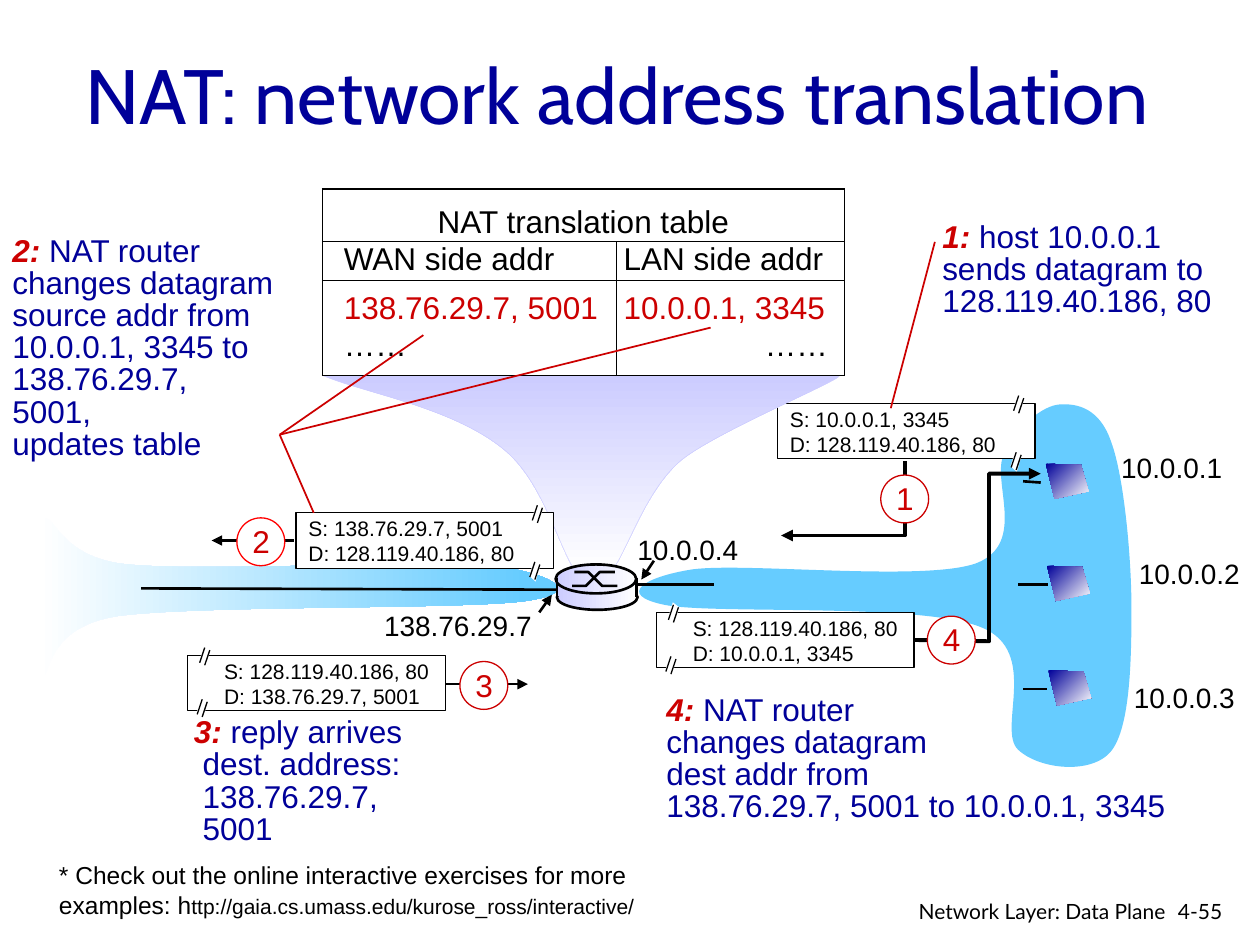
from lxml import etree
from pptx import Presentation
from pptx import util as u
from pptx.dml.color import RGBColor
from pptx.enum import shapes, text
from pptx.oxml.ns import qn

BLACK = RGBColor(0x00, 0x00, 0x00)
WHITE = RGBColor(0xFF, 0xFF, 0xFF)
NAVY = RGBColor(0x00, 0x00, 0x99)
RED = RGBColor(0xCC, 0x00, 0x00)
BRIGHT_RED = RGBColor(0xFF, 0x00, 0x00)
SKY = RGBColor(0x66, 0xCC, 0xFF)
LILAC = RGBColor(0xCC, 0xCC, 0xFF)

COLUMNS, ROWS = 100, 75  # square grid cells across and down the slide
CELL = u.Inches(0.1)


def grid(*values):
    return [round(value * CELL) for value in values]


# --- Styling ---
def paint(shape, fill=None, line=None, width=0.75, angle=0):
    """Fill is a colour, a (from, to) gradient pair or None."""
    shape.shadow.inherit = False
    if fill is None:
        shape.fill.background()
    elif isinstance(fill, RGBColor):
        shape.fill.solid()
        shape.fill.fore_color.rgb = fill
    else:
        shape.fill.gradient()
        shape.fill.gradient_angle = (360 - angle) % 360
        for stop, color in zip(shape.fill.gradient_stops, fill):
            stop.color.rgb = color
    if line is None:
        shape.line.fill.background()
    else:
        shape.line.color.rgb = line
        shape.line.width = u.Pt(width)


def arrowhead(shape, end):
    etree.SubElement(shape.line._get_or_add_ln(), qn("a:" + end), type="triangle")


def add_run(para, words, size, color=BLACK, font="Arial", strong=False):
    span = para.add_run()
    span.text = words
    span.font.size, span.font.name = u.Pt(size), font
    span.font.color.rgb = color
    span.font.bold = span.font.italic = strong


# --- Elements ---
def add_preset(page, kind, area, **style):
    shape = page.shapes.add_shape(kind, *grid(*area))
    paint(shape, **style)
    return shape


def add_outline(page, points, close=True, **style):
    """A point is x, y for a straight piece, or x1, y1, x2, y2, x, y for a curve."""
    builder = page.shapes.build_freeform(*grid(*points[0]))
    builder.add_line_segments([grid(*point[-2:]) for point in points[1:]], close=close)
    shape = builder.convert_to_shape()
    pieces = list(shape._element.iter(qn("a:lnTo")))
    for piece, point in zip(pieces, points[1:]):
        if len(point) == 6:
            piece.tag = qn("a:cubicBezTo")
            for index in (0, 2):
                x, y = grid(*point[index:index + 2])
                control = etree.Element(qn("a:pt"), x=str(x - shape.left), y=str(y - shape.top))
                piece.insert(index // 2, control)
    paint(shape, **style)
    return shape


def add_line(page, start, end, color=BLACK, width=1.5, arrow=False):
    line = page.shapes.add_connector(shapes.MSO_CONNECTOR.STRAIGHT, *grid(*start, *end))
    line.line.color.rgb = color
    line.line.width = u.Pt(width)
    if arrow:
        arrowhead(line, "tailEnd")
    etree.SubElement(line._element.spPr, qn("a:effectLst"))


def add_text(page, area, lines, size, color=BLACK, font="Arial", wrap=False, align=None):
    """Each line is a list of (words, style overrides)."""
    box = page.shapes.add_textbox(*grid(*area))
    frame = box.text_frame
    frame.word_wrap = wrap
    if not wrap:
        frame.auto_size = text.MSO_AUTO_SIZE.SHAPE_TO_FIT_TEXT
    for index, spans in enumerate(lines):
        para = frame.add_paragraph() if index else frame.paragraphs[0]
        para.alignment = align
        for words, style in spans:
            add_run(para, words, **{"size": size, "color": color, "font": font, **style})
    return frame


def add_note(page, area, number, lines, indent=0):
    spans = [[(line, {})] for line in lines]
    spans[0].insert(0, (f"{number}: ", {"color": RED, "strong": True}))
    frame = add_text(page, area, spans, 18, NAVY)
    for index, para in enumerate(frame.paragraphs):
        para.line_spacing = 0.85
        if index and indent:
            para._p.get_or_add_pPr().set("marL", str(grid(indent)[0]))


def add_packet(page, left, top, source, target, cut_right):
    add_preset(page, shapes.MSO_SHAPE.RECTANGLE, (left, top, 20.45, 4.4), fill=WHITE, line=BLACK)
    shift = 0 if cut_right else 1.9
    add_text(page, (left + shift, top - 0.25, 19.4, 5),
             [[("S: " + source, {})], [("D: " + target, {})]], 12, wrap=True)
    # Break marks on the upper and lower edge
    cuts = [(18.7, -0.8), (18.5, 3.7)] if cut_right else [(0.9, -0.8), (0.7, 3.3)]
    for dx, dy in cuts:
        x, y = left + dx, top + dy
        add_outline(page, [(x + 0.4, y), (x, y + 1.3), (x + 0.5, y + 1.75), (x + 0.9, y + 0.4)],
                    fill=WHITE)
        for sx, sy in [(0.45, 0.2), (0.85, 0.4)]:
            add_line(page, (x + sx, y + sy), (x + sx - 0.4, y + sy + 1.2), width=0.75)


def add_step(page, number, left, top, ring=RED):
    add_preset(page, shapes.MSO_SHAPE.OVAL, (left, top, 3.8, 3.8), fill=WHITE, line=ring)
    add_text(page, (left + 0.25, top - 0.15, 3.4, 4), [[(number, {})]], 18, RED)


def add_elbow(page, points):
    arrowhead(add_outline(page, points, close=False, line=BLACK, width=2.25), "headEnd")


def add_router(page):
    metal = (LILAC, WHITE)
    oval = shapes.MSO_SHAPE.OVAL
    add_preset(page, oval, (44.2, 46.4, 6.4, 2), fill=metal, line=BLACK, width=1.5)
    add_preset(page, shapes.MSO_SHAPE.RECTANGLE, (44.2, 46.1, 6.4, 1.2), fill=metal)
    add_preset(page, oval, (44.1, 44.8, 6.4, 2.3), fill=metal, line=BLACK, width=1.5)
    for left, first, last in [(45.4, 46.5, 45.4), (45.6, 45.4, 46.5)]:
        add_outline(page, [(left, first), (left + 1.1, first), (left + 2.2, last),
                           (left + 3.4, last)], close=False, line=BLACK, width=1.5)
    for x in (44.2, 50.5):
        add_line(page, (x, 45.9), (x, 47.4))


def add_border(cell, edge, visible):
    line = etree.SubElement(cell._tc.get_or_add_tcPr(), qn("a:ln" + edge), w="9525")
    if visible:
        ink = etree.SubElement(line, qn("a:solidFill"))
        etree.SubElement(ink, qn("a:srgbClr"), val=str(BLACK))
    else:
        etree.SubElement(line, qn("a:noFill"))


def add_nat_table(page):
    rows = [("NAT translation table", ""), ("WAN side addr", "LAN side addr"),
            ("138.76.29.7, 5001", "10.0.0.1, 3345"), ("……", "……")]
    table = page.shapes.add_table(4, 2, *grid(25.6, 15, 41.4, 14.8)).table
    table.first_row = table.horz_banding = False
    for column, width in zip(table.columns, grid(23.3, 18.1)):
        column.width = width
    for row, height in zip(table.rows, grid(4.2, 3.1, 3.7, 3.8)):
        row.height = height
    table.cell(0, 0).merge(table.cell(0, 1))
    anchors = [text.MSO_ANCHOR.BOTTOM, text.MSO_ANCHOR.TOP,
               text.MSO_ANCHOR.BOTTOM, text.MSO_ANCHOR.TOP]
    for r, words in enumerate(rows):
        for c, word in enumerate(words):
            cell = table.cell(r, c)
            for edge in "LRTB":
                add_border(cell, edge, (r, edge) not in [(2, "B"), (3, "T")])
            cell.fill.solid()
            cell.fill.fore_color.rgb = WHITE
            cell.vertical_anchor = anchors[r]
            cell.margin_top = 0
            cell.margin_bottom = grid(0.1 if r in (0, 2) else 0)[0]
            cell.margin_left, cell.margin_right = grid((1.7, 0.6)[c] if r else 0,
                                                       1.3 if r and c else 0)
            para = cell.text_frame.paragraphs[0]
            if r == 0:
                para.alignment = text.PP_ALIGN.CENTER
            elif (r, c) == (3, 1):
                para.alignment = text.PP_ALIGN.RIGHT
            if word:
                add_run(para, word, 18, RED if r == 2 else BLACK)


def main():
    deck = Presentation()
    deck.slide_width, deck.slide_height = grid(COLUMNS, ROWS)
    page = deck.slides.add_slide(deck.slide_layouts[5])

    # Title
    title = page.shapes.title
    title.left, title.top, title.width, title.height = grid(5.8, 2.5, 88.5, 9.9)
    title.text_frame.vertical_anchor = text.MSO_ANCHOR.MIDDLE
    title.text_frame.paragraphs[0].alignment = text.PP_ALIGN.LEFT
    add_run(title.text_frame.paragraphs[0], "NAT: network address translation", 44, NAVY, "Cabin")

    # Wide-area and local networks
    add_outline(page, [
        (39.2, 44.9), (33.9, 44.4, 16.2, 45.4, 10.2, 44.8), (4.2, 44.3, 4.3, 39.9, 3.1, 41.4),
        (2, 42.8, 2.1, 52.2, 3.1, 53.5), (4.2, 54.8, 2.9, 49.9, 9.3, 48.9),
        (15.8, 48, 36.8, 48.4, 41.7, 47.7), (46.7, 47, 43.6, 45.5, 39.2, 44.9)],
        fill=(WHITE, SKY))
    add_outline(page, [
        (54.9, 45.2), (59.1, 44.6, 73.4, 46.2, 77.5, 44.7), (81.6, 43.1, 78.6, 38.1, 79.7, 36),
        (80.7, 33.9, 82.7, 32.2, 84.1, 32.1), (85.5, 32, 87.3, 32.4, 88.2, 35.1),
        (89.2, 37.8, 89.8, 44.2, 89.8, 48.3), (89.8, 52.4, 89.7, 57.7, 88.2, 59.6),
        (86.7, 61.5, 82.5, 61.1, 80.8, 59.5), (79.1, 57.9, 82.6, 51.7, 77.9, 49.8),
        (73.2, 47.8, 56.5, 48.8, 52.7, 48), (48.9, 47.2, 51.1, 45.8, 54.9, 45.2)], fill=SKY)
    for start, end in [((50.1, 46.4), (56.7, 46.4)), ((81.2, 38.2), (82.6, 38.3)),
                       ((81.2, 54.7), (83.1, 54.7)), ((80.8, 46.4), (83.2, 46.4)),
                       ((11.2, 46.7), (44.3, 46.8))]:
        add_line(page, start, end)

    # Addresses
    for address, left, top, width in [
            ("10.0.0.1", 88, 35.3, 10.1), ("10.0.0.2", 89.4, 43.7, 10.1),
            ("10.0.0.3", 89, 53.5, 10.1), ("10.0.0.4", 49.6, 41.8, 10.1),
            ("138.76.29.7", 29.5, 47.8, 13.8)]:
        add_text(page, (left, top, width, 3.7), [[(address, {})]], 16)
    add_line(page, (51.9, 44.5), (50.9, 46), arrow=True)
    add_line(page, (42.8, 48.6), (43.8, 47.2), arrow=True)

    # Step 1: outgoing datagram
    add_packet(page, 61.7, 32, "10.0.0.1, 3345", "128.119.40.186, 80", True)
    add_elbow(page, [(62, 42.5), (71.8, 42.5), (71.8, 36.6)])
    add_step(page, "1", 69.9, 37.7)
    add_note(page, (73.8, 17.2, 23.5, 8.7), 1,
             ["host 10.0.0.1", "sends datagram to", "128.119.40.186, 80"])
    add_line(page, (74.2, 19.2), (70.7, 32.4), RED, 1)

    # Translation table, widening from the router
    add_outline(page, [
        (25.6, 29.8), (25.6, 29.8, 61.7, 28.7, 66.5, 29.8), (67.9, 29.7, 57.1, 34.1, 54.1, 36.5),
        (51.1, 39, 49.7, 44.1, 48.4, 45.5), (45.8, 45.5), (44.4, 43.8, 43.2, 38.2, 39.9, 35.6),
        (35.8, 32.3, 28.9, 31.2, 25.6, 29.8)],
        fill=(LILAC, WHITE), line=LILAC, width=0.25, angle=90)
    add_nat_table(page)

    # Step 4: reply forwarded to the host
    add_packet(page, 52.1, 48.6, "128.119.40.186, 80", "10.0.0.1, 3345", False)
    add_elbow(page, [(82.6, 37.6), (78.5, 37.6), (78.5, 50.9), (72.6, 50.8)])
    add_step(page, "4", 73.6, 48.9)
    add_note(page, (51.9, 54.7, 42.3, 14.2), 4, [
        "NAT router", "changes datagram", "dest addr from", "138.76.29.7, 5001 to 10.0.0.1, 3345"])

    # Step 2: datagram with its source rewritten
    add_packet(page, 23.5, 40.7, "138.76.29.7, 5001", "128.119.40.186, 80", True)
    add_line(page, (23.3, 42.9), (16.8, 42.9), arrow=True)
    add_step(page, "2", 18.8, 41.1, BRIGHT_RED)
    add_note(page, (0, 18.3, 22.8, 16.3), 2, [
        "NAT router", "changes datagram", "source addr from", "10.0.0.1, 3345 to",
        "138.76.29.7, 5001,", "updates table"])
    for end in [(24.9, 40.7), (33.6, 26.6), (56.4, 26)]:
        add_line(page, (22.2, 34.5), end, RED, 1)

    # Step 3: reply arrives
    add_packet(page, 14.9, 52, "128.119.40.186, 80", "138.76.29.7, 5001", False)
    add_line(page, (35.4, 54.3), (41.9, 54.3), arrow=True)
    add_step(page, "3", 36.5, 52.5)
    add_note(page, (14.4, 56.5, 22.8, 8.7), 3,
             ["reply arrives", "dest. address:", "138.76.29.7, 5001"], indent=0.7)

    # Router and host screens
    add_router(page)
    for x, y in [(83, 36.8), (83.1, 44.9), (83.2, 53.2)]:
        add_outline(page, [(x, y), (x + 2.8, y + 0.1), (x + 3.4, y + 2.2), (x + 0.7, y + 2.8)],
                    fill=(NAVY, WHITE), angle=45)

    # Footer
    add_text(page, (92.5, 70.8, 6.1, 3), [[("4-55", {})]], 12, font="Lato", wrap=True)
    add_text(page, (69.7, 70.8, 23.8, 2.6), [[("Network Layer: Data Plane", {})]], 12,
             font="Lato", wrap=True, align=text.PP_ALIGN.RIGHT)
    add_text(page, (3.7, 67.8, 49.3, 5.7), [[
        ("* Check out the online interactive exercises for more examples: h", {}),
        ("ttp://gaia.cs.umass.edu/kurose_ross/interactive/", {"size": 12})]], 14, wrap=True)
    deck.save("out.pptx")


if __name__ == "__main__":
    main()
